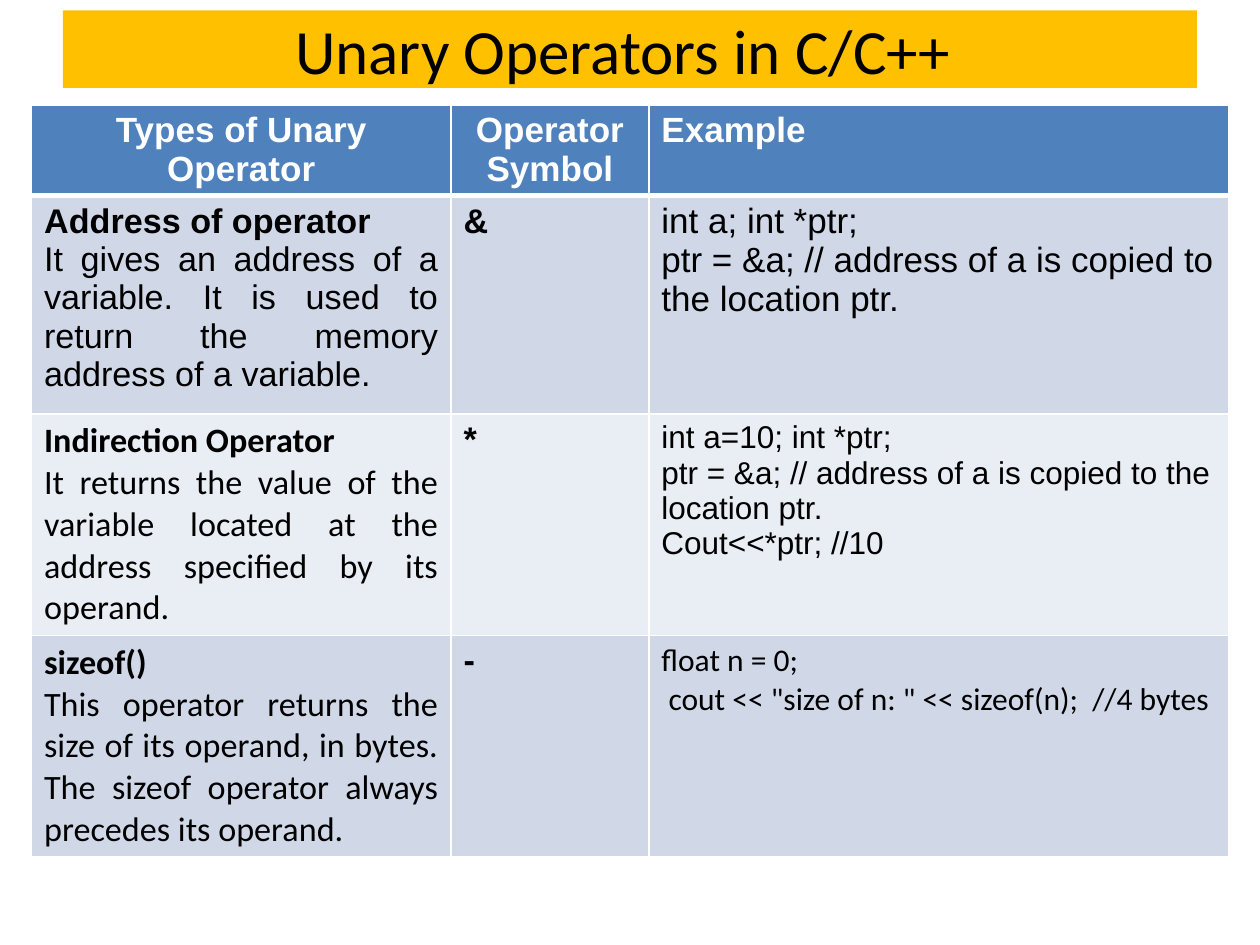
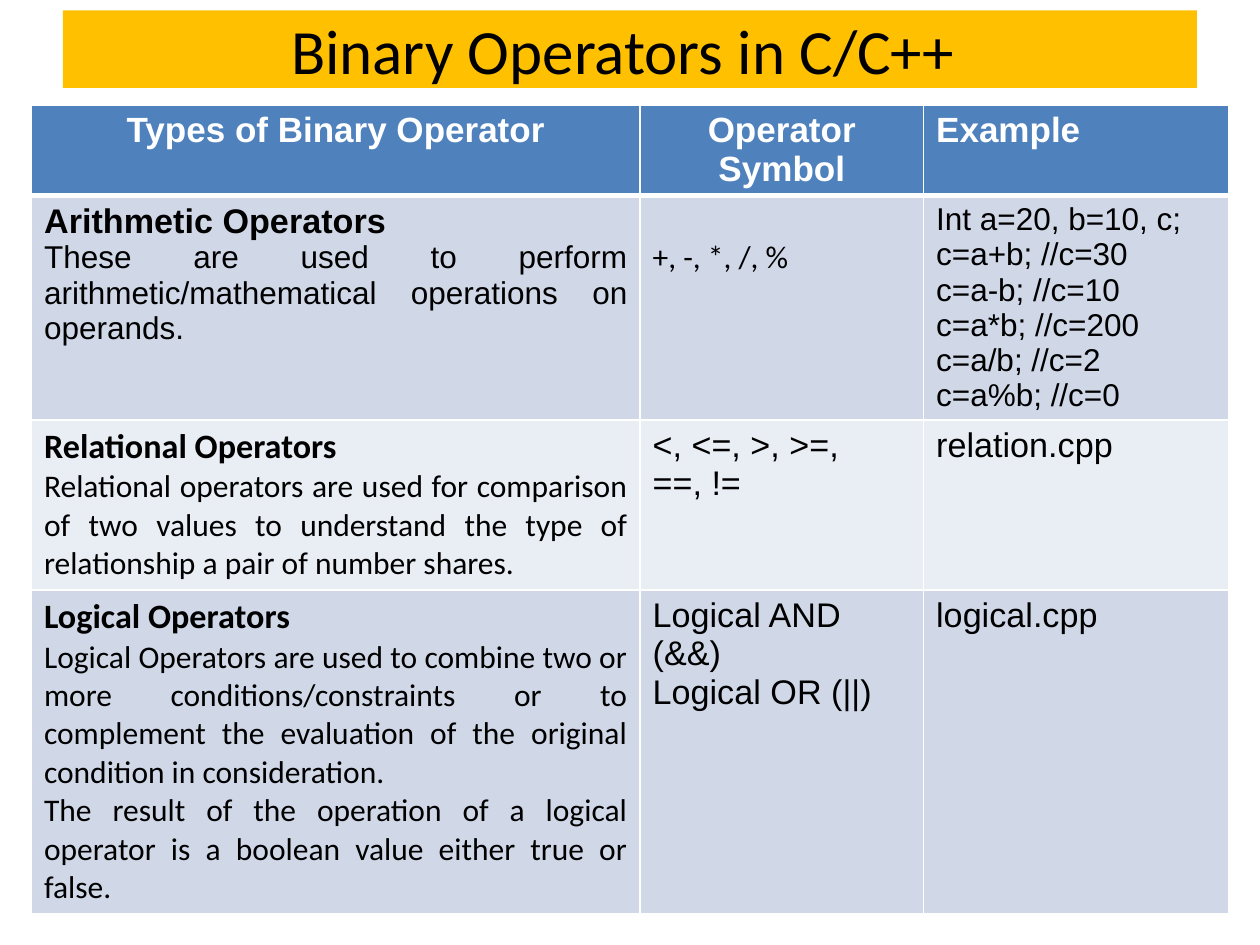
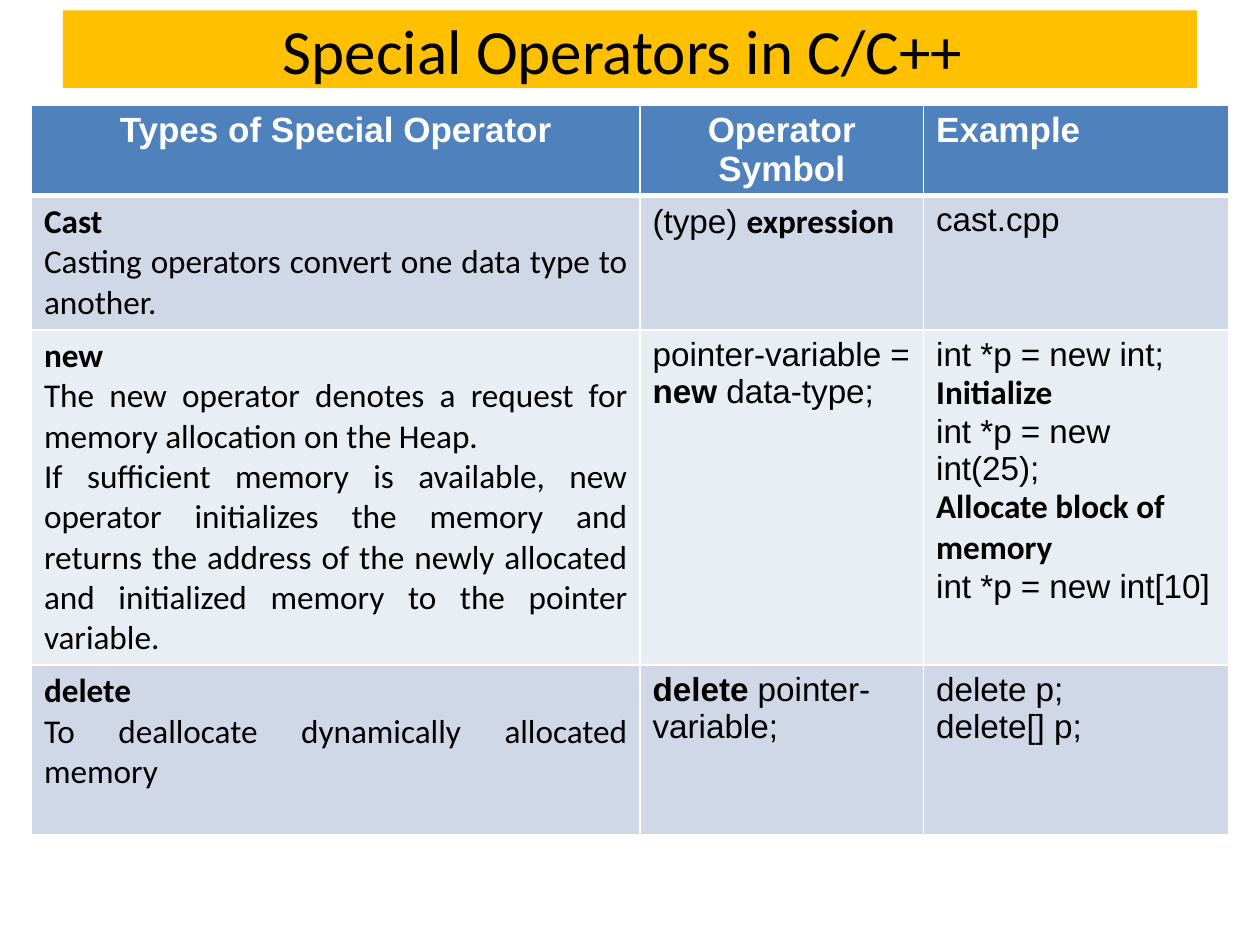
from dataclasses import dataclass
from functools import partial

from lxml.etree import SubElement
from pptx import Presentation
from pptx.dml.color import RGBColor
from pptx.enum.shapes import MSO_SHAPE
from pptx.enum.text import MSO_ANCHOR, PP_ALIGN
from pptx.oxml.ns import qn
from pptx.util import Inches, Pt


@dataclass(frozen=True)
class Theme:
    sans: str = "Arial"
    serifless: str = "Calibri"
    band: str = "FFC000"
    header: str = "4F81BD"
    stripes: tuple = ("D0D8E8", "E9EDF4")
    light: str = "FFFFFF"
    dark: str = "000000"
    title: float = 36
    heading: float = 20
    body: float = 19.5
    special: float = 19
    small: float = 18
    rule: float = 1
    header_rule: float = 3


THEME = Theme()


@dataclass(frozen=True)
class Run:
    text: str
    size: float = THEME.body
    font: str = THEME.sans
    bold: bool = False


def add_text(p, text, size, font, bold=False, color=THEME.dark):
    r = p.add_run()
    r.text = text
    r.font.size = Pt(size)
    r.font.name = font
    r.font.bold = bold
    r.font.color.rgb = RGBColor.from_string(color)


class Deck:
    """Holds the style and current slide; lengths are percentages of the slide."""

    def __init__(self, theme):
        self.theme = theme
        self.prs = Presentation()
        self.prs.slide_width, self.prs.slide_height = Inches(10), Inches(7.5)
        self.s = None

    def x(self, share):
        return round(self.prs.slide_width * share / 100)

    def y(self, share):
        return round(self.prs.slide_height * share / 100)

    def new_slide(self, title):
        self.s = self.prs.slides.add_slide(self.prs.slide_layouts[6])
        self.title_band(title)

    def title_band(self, text):
        th = self.theme
        sp = self.s.shapes.add_shape(MSO_SHAPE.RECTANGLE, self.x(5), self.y(1.1),
                                     self.x(90), self.y(8.2))
        sp.shadow.inherit = False
        sp.fill.solid()
        sp.fill.fore_color.rgb = RGBColor.from_string(th.band)
        sp.line.fill.background()
        tf = sp.text_frame
        tf.word_wrap = True
        tf.vertical_anchor = MSO_ANCHOR.MIDDLE
        p = tf.paragraphs[0]
        p.alignment = PP_ALIGN.CENTER
        add_text(p, text, th.title, th.serifless)

    def table(self, headings, widths, heights, rows):
        frame = self.s.shapes.add_table(len(heights), len(widths), self.x(2.5), self.y(11.1),
                                        self.x(sum(widths)), self.y(sum(heights)))
        tbl = frame.table
        for column, width in zip(tbl.columns, widths):
            column.width = self.x(width)
        for row, height in zip(tbl.rows, heights):
            row.height = self.y(height)
        for c, text in enumerate(headings):
            align = PP_ALIGN.LEFT if c == 2 else PP_ALIGN.CENTER
            run = Run(text, self.theme.heading, bold=True)
            self.cell(tbl, 0, c, [run], align, self.theme.light)
        for i, cells in enumerate(rows, 1):
            for c, lines in enumerate(cells):
                align = PP_ALIGN.LEFT if c else PP_ALIGN.JUSTIFY
                self.cell(tbl, i, c, lines, align, self.theme.dark)
        return tbl

    def cell(self, tbl, row, col, lines, align, color):
        """Fill a cell; each line is a Run or a tuple of Runs."""
        th = self.theme
        cell = tbl.cell(row, col)
        self.borders(cell, top=th.header_rule if row == 1 else th.rule,
                     bottom=th.header_rule if row == 0 else th.rule)
        cell.fill.solid()
        fill = th.stripes[(row - 1) % 2] if row else th.header
        cell.fill.fore_color.rgb = RGBColor.from_string(fill)
        tf = cell.text_frame
        for i, line in enumerate(lines):
            p = tf.add_paragraph() if i else tf.paragraphs[0]
            p.alignment = align
            for run in line if isinstance(line, tuple) else (line,):
                add_text(p, run.text, run.size, run.font, run.bold, color)

    def borders(self, cell, top, bottom):
        tc_pr = cell._tc.get_or_add_tcPr()
        sides = {"L": self.theme.rule, "R": self.theme.rule, "T": top, "B": bottom}
        for side, width in sides.items():
            ln = SubElement(tc_pr, qn(f"a:ln{side}"), w=str(Pt(width)))
            SubElement(SubElement(ln, qn("a:solidFill")), qn("a:srgbClr"), val=self.theme.light)


SMALL, SPECIAL = THEME.small, THEME.special
WIDE_FIRST = (48.3, 22.5, 24.2)
HEADER_HEIGHT = 9.4

strong = partial(Run, bold=True)
small = partial(Run, size=SMALL)
note = partial(Run, font=THEME.serifless)
term = partial(note, bold=True)
small_note = partial(note, size=SMALL)
code = partial(Run, size=SPECIAL)
keyword = partial(code, bold=True)
special_note = partial(note, size=SPECIAL)
special_term = partial(term, size=SPECIAL)


def headings(kind):
    return f"Types of {kind} Operator", "Operator Symbol", "Example"


def unary_slide(deck):
    deck.new_slide("Unary Operators in C/C++ ")
    example = partial(Run, size=THEME.heading)
    deck.table(headings("Unary"), (33.3, 15.7, 46), (HEADER_HEIGHT, 23.1, 23.4, 23.4), [
        ([strong("Address of operator"),
          Run("It gives an address of a variable. It is used to return the memory "
              "address of a variable.")],
         [strong("&")],
         [example("int a; int *ptr;"),
          example("ptr = &a; // address of a is copied to the location ptr.")]),
        ([term("Indirection Operator"),
          note("It returns the value of the variable located at the address specified "
               "by its operand.")],
         [strong("*")],
         [small("int a=10; int *ptr;"),
          small("ptr = &a; // address of a is copied to the location ptr."),
          small("Cout<<*ptr; //10")]),
        ([term("sizeof()"),
          note("This operator returns the size of its operand, in bytes. "
               "The sizeof operator always precedes its operand.")],
         [strong("-")],
         [small_note("float n = 0;"),
          small_note(' cout << "size of n: " << sizeof(n);  //4 bytes')]),
    ])


def binary_slide(deck):
    deck.new_slide("Binary Operators in C/C++ ")
    sums = ("Int a=20, b=10, c;", "c=a+b; //c=30", "c=a-b; //c=10",
            "c=a*b; //c=200", "c=a/b; //c=2", "c=a%b; //c=0")
    tbl = deck.table(headings("Binary"), WIDE_FIRST, (HEADER_HEIGHT, 23.7, 18, 34.2), [
        ([strong("Arithmetic Operators"),
          small("These are used to perform arithmetic/mathematical operations on operands.")],
         [small_note("+, -, *, /, %")],
         [small(text) for text in sums]),
        ([term("Relational Operators"),
          small_note("Relational operators are used for comparison of two values to understand "
                     "the type of relationship a pair of number shares.")],
         [Run("<, <=, >, >=, ==, !=")],
         [Run("relation.cpp")]),
        ([term("Logical Operators"),
          small_note("Logical Operators are used to combine two or more conditions/constraints "
                     "or to complement the evaluation of the original condition in "
                     "consideration."),
          small_note("The result of the operation of a logical operator is a boolean value "
                     "either true or false.")],
         [Run("Logical AND (&&)"), Run("Logical OR (||)")],
         [Run("logical.cpp")]),
    ])
    tbl.cell(1, 1).margin_top = deck.y(4.5)


def special_slide(deck):
    deck.new_slide("Special Operators in C/C++ ")
    deck.table(headings("Special"), WIDE_FIRST, (HEADER_HEIGHT, 14.2, 35.4, 18), [
        ([special_term("Cast"),
          special_note("Casting operators convert one data type to another.")],
         [(code("(type) "), special_term("expression"))],
         [code("cast.cpp")]),
        ([special_term("new"),
          special_note("The new operator denotes a request for memory allocation on the Heap."),
          special_note("If sufficient memory is available, new operator initializes the memory "
                       "and returns the address of the newly allocated and initialized memory "
                       "to the pointer variable.")],
         [(code("pointer-variable = "), keyword("new"), code(" data-type;"))],
         [code("int *p = new int;"),
          special_term("Initialize"),
          code("int *p = new int(25);"),
          special_term("Allocate block of memory"),
          code("int *p = new int[10]")]),
        ([special_term("delete"),
          special_note("To deallocate dynamically allocated memory")],
         [(keyword("delete"), code(" pointer-variable;"))],
         [code("delete p;"), code("delete[] p;")]),
    ])


def main():
    deck = Deck(THEME)
    for build in (unary_slide, binary_slide, special_slide):
        build(deck)
    deck.prs.save("out.pptx")


if __name__ == "__main__":
    main()
